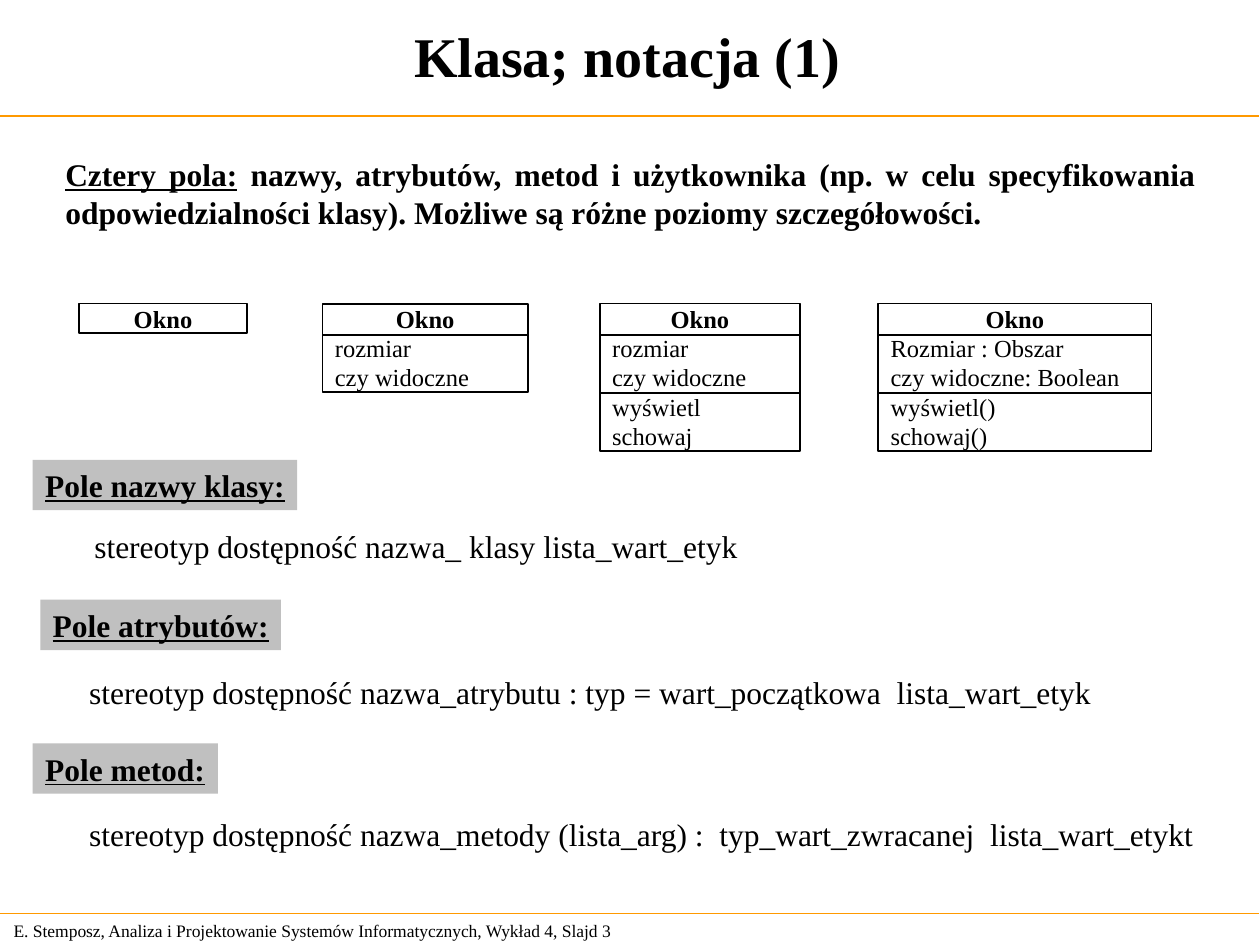
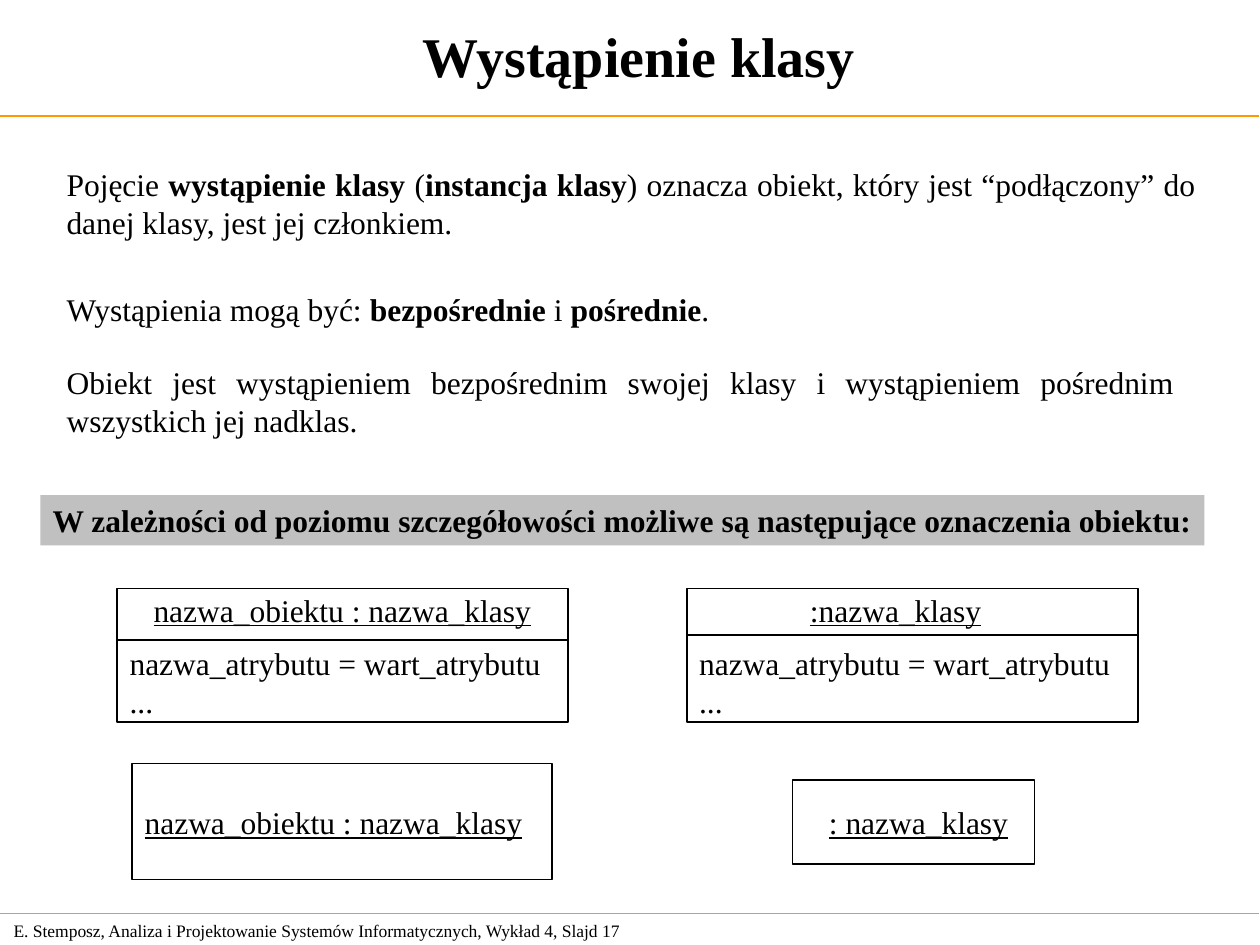
from lxml import etree
from pptx import Presentation
from pptx.dml.color import RGBColor
from pptx.enum.shapes import MSO_CONNECTOR, MSO_SHAPE
from pptx.enum.text import MSO_ANCHOR, MSO_AUTO_SIZE, PP_ALIGN
from pptx.oxml.ns import qn
from pptx.util import Inches, Pt

STRAIGHT = MSO_CONNECTOR.STRAIGHT
RECTANGLE = MSO_SHAPE.RECTANGLE
TOP, MIDDLE = MSO_ANCHOR.TOP, MSO_ANCHOR.MIDDLE
LEFT, CENTER, JUSTIFY = PP_ALIGN.LEFT, PP_ALIGN.CENTER, PP_ALIGN.JUSTIFY
NO_AUTO_SIZE = MSO_AUTO_SIZE.NONE

FONT = "Times New Roman"
BLACK, ORANGE, GREY = "000000", "FF9900", "C0C0C0"
TITLE_ONLY = 5
LABEL_HEIGHT = 0.4
ROW_HEIGHT = 0.234
FOOTER = "E. Stemposz, Analiza i Projektowanie Systemów Informatycznych, Wykład 4, Slajd {}"


def colour(value):
    return RGBColor.from_string(value)


def apply(target, values):
    for name, value in values.items():
        setattr(target, name, value)


def line(text, style="", align=LEFT, indent=0, before=0):
    runs = [(text, style)] if isinstance(text, str) else text
    return {"runs": runs, "align": align, "indent": indent, "before": before}


def write(shape, lines, size=18, anchor=TOP, wrap=True, inset=0.05):
    frame = shape.text_frame
    apply(frame, {
        "auto_size": NO_AUTO_SIZE, "word_wrap": wrap, "vertical_anchor": anchor,
        "margin_left": Inches(0.1), "margin_right": Inches(0.1),
        "margin_top": Inches(inset), "margin_bottom": Inches(inset),
    })
    for index, content in enumerate(lines):
        paragraph = frame.add_paragraph() if index else frame.paragraphs[0]
        apply(paragraph, {"alignment": content["align"], "space_before": Pt(content["before"])})
        if content["indent"]:
            paragraph._p.get_or_add_pPr().set("marL", str(Inches(content["indent"])))
        for text, style in content["runs"]:
            run = paragraph.add_run()
            run.text = text
            apply(run.font, {"name": FONT, "size": Pt(size), "bold": "b" in style,
                             "underline": "u" in style})
            run.font.color.rgb = colour(BLACK)


def add_rule(slide, left, top, width, line_colour=BLACK, weight=1):
    rule = slide.shapes.add_connector(
        STRAIGHT, Inches(left), Inches(top), Inches(left + width), Inches(top))
    rule.line.color.rgb = colour(line_colour)
    rule.line.width = Pt(weight)
    etree.SubElement(rule._element.spPr, qn("a:effectLst"))


def add_text(slide, box, lines, **options):
    write(slide.shapes.add_textbox(*map(Inches, box)), lines, **options)


def add_box(slide, box, lines, fill=None, **options):
    shape = slide.shapes.add_shape(RECTANGLE, *map(Inches, box))
    shape.shadow.inherit = False
    if fill:
        shape.fill.solid()
        shape.fill.fore_color.rgb = colour(fill)
        shape.line.fill.background()
    else:
        shape.fill.background()
        shape.line.color.rgb = colour(BLACK)
        shape.line.width = Pt(1)
    write(shape, lines, **options)


def add_label(slide, left, top, width, text, style):
    add_box(slide, (left, top, width, LABEL_HEIGHT), [line(text, style)], GREY, wrap=False)


def add_frame(presentation, title, title_left, title_width, number):
    slide = presentation.slides.add_slide(presentation.slide_layouts[TITLE_ONLY])
    add_text(slide, (0.01, 7.25, 5.24, 0.27), [line(FOOTER.format(number))],
             size=10, anchor=MIDDLE)
    for top, weight in ((0.92, 1), (7.25, 0.75)):
        add_rule(slide, -0.01, top, 10, ORANGE, weight)
    heading = slide.shapes.title
    apply(heading, {"left": Inches(title_left), "top": Inches(0.01),
                    "width": Inches(title_width), "height": Inches(0.85)})
    write(heading, [line(title, "b", CENTER)], size=32, anchor=MIDDLE)
    return slide


def add_class(slide, left, top, width, attributes, methods):
    lines = [line("Okno", "b", CENTER)] + [line(text) for text in attributes + methods]
    add_box(slide, (left, top, width, len(lines) * ROW_HEIGHT), lines, size=14, inset=0)
    if attributes:
        add_rule(slide, left, top + 0.25, width)
    if methods:
        add_rule(slide, left, top + 0.71, width)


def add_field(slide, label_box, label, formula_box, formula):
    add_label(slide, *label_box, label, "bu")
    add_text(slide, (*formula_box, LABEL_HEIGHT), [line(formula)], wrap=False)


def add_object(slide, box, name, indent, divider=None):
    lines = [line(name, "u", indent=indent)]
    if divider:
        lines += [line("nazwa_atrybutu = wart_atrybutu", before=9), line("...")]
    add_box(slide, box, lines, anchor=MIDDLE)
    if divider:
        left, top, width, _ = box
        add_rule(slide, left, top + divider, width)


def build_notation(presentation):
    slide = add_frame(presentation, "Klasa; notacja (1)", 0, 9.96, 3)
    add_text(slide, (0.42, 1.18, 9.17, 0.7), [line([
        ("Cztery pola:", "bu"),
        (" nazwy, atrybutów, metod i użytkownika (np. w celu specyfikowania "
         "odpowiedzialności klasy). Możliwe są różne poziomy szczegółowości.", "b"),
    ], align=JUSTIFY)])
    attributes = ["rozmiar", "czy widoczne"]
    for left, width, fields, methods in (
        (0.63, 1.33, [], []),
        (2.56, 1.63, attributes, []),
        (4.76, 1.59, attributes, ["wyświetl", "schowaj"]),
        (6.97, 2.17, ["Rozmiar : Obszar", "czy widoczne: Boolean"],
         ["wyświetl()", "schowaj()"]),
    ):
        add_class(slide, left, 2.41, width, fields, methods)
    for field in (
        ((0.26, 3.65, 2.1), "Pole nazwy klasy:", (0.65, 4.13, 5.31),
         "stereotyp dostępność nazwa_ klasy lista_wart_etyk"),
        ((0.32, 4.76, 1.91), "Pole atrybutów:", (0.61, 5.29, 8.16),
         "stereotyp dostępność nazwa_atrybutu : typ = wart_początkowa  lista_wart_etyk"),
        ((0.26, 5.9, 1.47), "Pole metod:", (0.61, 6.42, 8.97),
         "stereotyp dostępność nazwa_metody (lista_arg) :  typ_wart_zwracanej  lista_wart_etykt"),
    ):
        add_field(slide, *field)


def build_instance(presentation):
    slide = add_frame(presentation, "Wystąpienie klasy", 0.19, 9.76, 17)
    add_text(slide, (0.43, 1.26, 9.16, 0.7), [line([
        ("Pojęcie", ""), (" wystąpienie klasy ", "b"), ("(", ""), ("instancja klasy", "b"),
        (") oznacza obiekt, który jest “podłączony” do danej klasy, jest jej członkiem.", ""),
    ], align=JUSTIFY)])
    add_text(slide, (0.43, 2.25, 5.32, 0.4), [line([
        ("Wystąpienia mogą być: ", ""), ("bezpośrednie", "b"), (" i ", ""),
        ("pośrednie", "b"), (".", ""),
    ])], wrap=False)
    add_text(slide, (0.43, 2.83, 8.99, 0.7), [line(
        "Obiekt jest wystąpieniem bezpośrednim swojej klasy i wystąpieniem pośrednim "
        "wszystkich jej nadklas.", align=JUSTIFY)])
    add_label(slide, 0.32, 3.93, 9.24,
              "W zależności od poziomu szczegółowości możliwe są następujące oznaczenia obiektu:", "b")
    full_name = "nazwa_obiektu : nazwa_klasy"
    add_object(slide, (0.93, 4.67, 3.58, 1.06), full_name, 0.19, 0.41)
    add_object(slide, (5.45, 4.67, 3.58, 1.06), ":nazwa_klasy", 0.88, 0.37)
    add_object(slide, (1.05, 6.06, 3.33, 0.92), full_name, 0)
    add_object(slide, (6.29, 6.19, 1.92, 0.67), ": nazwa_klasy", 0.19)


def main():
    presentation = Presentation()
    presentation.slide_width = Inches(10)
    presentation.slide_height = Inches(7.5)
    build_notation(presentation)
    build_instance(presentation)
    presentation.save("out.pptx")


if __name__ == "__main__":
    main()
